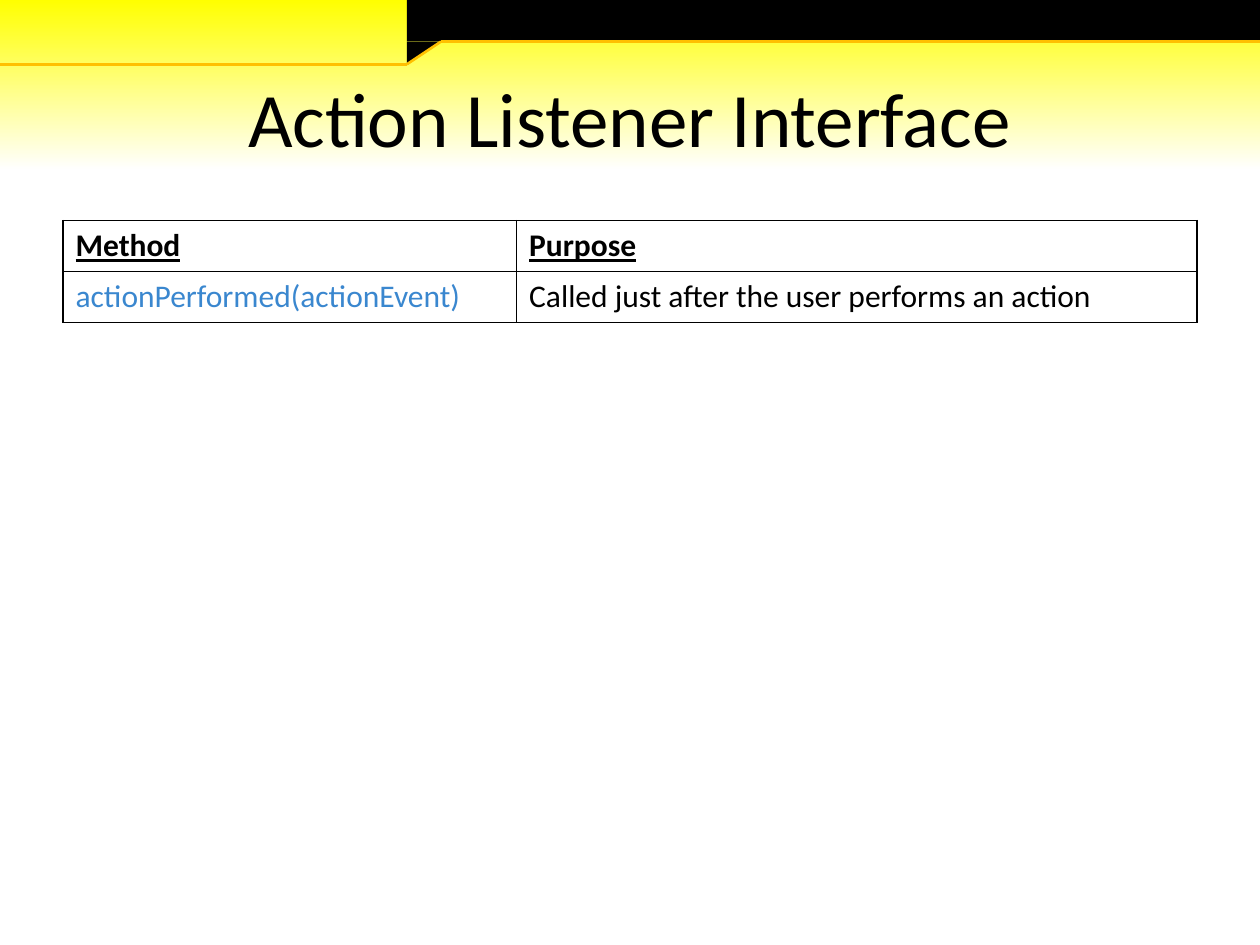
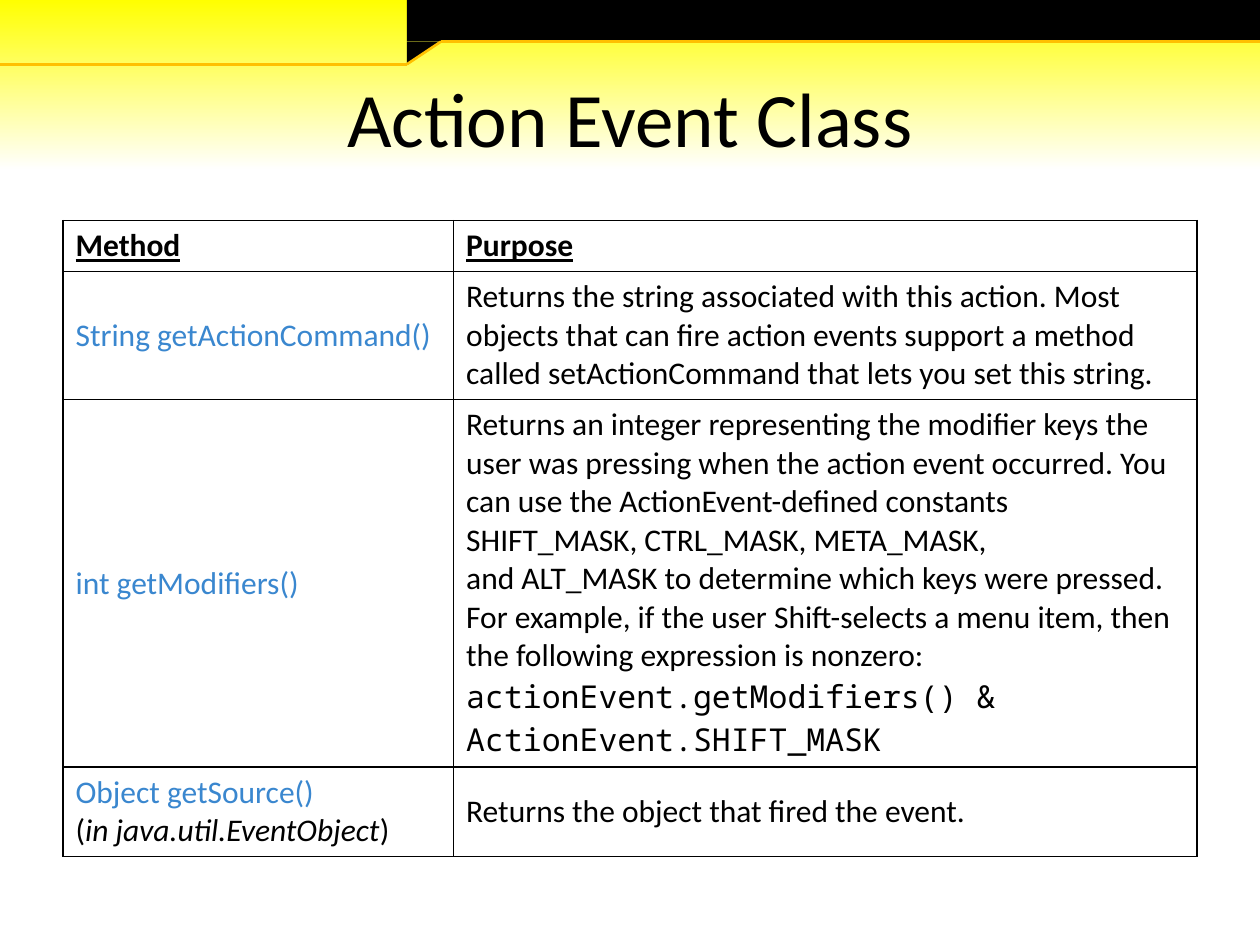
from lxml import etree
from pptx import Presentation
from pptx.dml.color import RGBColor
from pptx.enum.shapes import MSO_CONNECTOR, MSO_SHAPE
from pptx.enum.text import MSO_ANCHOR, PP_ALIGN
from pptx.oxml import parse_xml
from pptx.oxml.ns import nsdecls, qn
from pptx.util import Inches, Pt

BLACK = RGBColor(0x00, 0x00, 0x00)
WHITE = RGBColor(0xFF, 0xFF, 0xFF)
YELLOW = RGBColor(0xFF, 0xFF, 0x00)
AMBER = RGBColor(0xFF, 0xC0, 0x00)
BLUE = RGBColor(0x3A, 0x87, 0xCF)
FONT, CODE_FONT = "Calibri", "Noto Sans Mono"

# Run styles: every cell is a list of (text, style) runs
HEADING = {"bold": True, "underline": True}
METHOD = {"color": BLUE}
PLAIN = {}
ITALIC = {"italic": True}
CODE = {"name": CODE_FONT}

# Content: title, width of the method column, rows of (least height, method, purpose)
HEADER = (0.4, [("Method", HEADING)], [("Purpose", HEADING)])
SLIDES = [
    ("Action Listener Interface", 3.6, [
        HEADER,
        (0.4, [("actionPerformed(actionEvent)", METHOD)],
         [("Called just after the user performs an action", PLAIN)]),
    ]),
    ("Action Event Class", 3.1, [
        HEADER,
        (1.0, [("String getActionCommand()", METHOD)],
         [("Returns the string associated with this action. Most objects that "
           "can fire action events support a method called\u00a0setActionCommand"
           "\u00a0that lets you set this string.", PLAIN)]),
        (2.9, [("int getModifiers()", METHOD)],
         [("Returns an integer representing the modifier keys the user was "
           "pressing when the action event occurred. You can use the\u00a0"
           "ActionEvent-defined constants SHIFT_MASK,\u00a0CTRL_MASK,\u00a0"
           "META_MASK, and\u00a0ALT_MASK\u00a0to determine which keys were "
           "pressed. For example, if the user Shift-selects a menu item, then "
           "the following expression is nonzero: ", PLAIN),
          ("actionEvent.getModifiers() & ActionEvent.SHIFT_MASK ", CODE)]),
        (0.6, [("Object getSource()\n", METHOD), ("(", PLAIN),
               ("in java.util.EventObject", ITALIC), (")", PLAIN)],
         [("Returns the object that fired the event.", PLAIN)]),
    ]),
]

# Layout in inches
WIDTH, HEIGHT = 10, 7.5
MARGIN = 0.05 * WIDTH
CONTENT_WIDTH = WIDTH - 2 * MARGIN
TITLE_TOP, TITLE_HEIGHT, TABLE_TOP = 0.3, 1.25, 1.75
TAB_RIGHT, BAND_LEFT = 3.23, 3.5       # ends of the slanted edge
BAND_BOTTOM, TAB_BOTTOM = 0.33, 0.51


def add_black_shape(shapes, kind, left, top, right, bottom):
    shape = shapes.add_shape(kind, Inches(left), Inches(top),
                             Inches(right - left), Inches(bottom - top))
    shape.shadow.inherit = False
    shape.fill.solid()
    shape.fill.fore_color.rgb = BLACK
    shape.line.fill.background()
    return shape


def add_edge(shapes, start, end):
    line = shapes.add_connector(MSO_CONNECTOR.STRAIGHT,
                                *(Inches(value) for value in start + end))
    line.line.color.rgb = AMBER
    line.line.width = Pt(1.5)
    etree.SubElement(line.element.spPr, qn("a:effectLst"))
    return line


def style_master(master, slide):
    """Give the master its gradient and the band, drawn on a slide and moved."""
    fill = master.background.fill
    fill.gradient()
    fill.gradient_angle = 270
    for stop, (position, color) in zip(fill.gradient_stops, [(0, YELLOW), (0.18, WHITE)]):
        stop.position = position
        stop.color.rgb = color

    shapes = slide.shapes
    band = add_black_shape(shapes, MSO_SHAPE.RECTANGLE, TAB_RIGHT, 0, WIDTH, BAND_BOTTOM)
    slant = add_black_shape(shapes, MSO_SHAPE.ISOSCELES_TRIANGLE,
                            TAB_RIGHT, BAND_BOTTOM, BAND_LEFT, TAB_BOTTOM)
    slant.adjustments[0] = 1
    slant.rotation = 180
    corners = [(0, TAB_BOTTOM), (TAB_RIGHT, TAB_BOTTOM),
               (BAND_LEFT, BAND_BOTTOM), (WIDTH, BAND_BOTTOM)]
    edges = [add_edge(shapes, *ends) for ends in zip(corners, corners[1:])]
    for number, shape in enumerate([band, slant, *edges]):
        shape.element.xpath(".//p:cNvPr")[0].set("id", str(100 + number))
        master.shapes.element.insert(2 + number, shape.element)


def write_title(slide, text):
    title = slide.shapes.title
    title.left, title.top = Inches(MARGIN), Inches(TITLE_TOP)
    title.width, title.height = Inches(CONTENT_WIDTH), Inches(TITLE_HEIGHT)
    title.text_frame.text = text
    title.text_frame.vertical_anchor = MSO_ANCHOR.MIDDLE
    paragraph = title.text_frame.paragraphs[0]
    paragraph.alignment = PP_ALIGN.CENTER
    paragraph.font.name, paragraph.font.size = FONT, Pt(44)
    paragraph.font.color.rgb = BLACK


def fill_cell(cell, runs):
    cell.vertical_anchor = MSO_ANCHOR.MIDDLE
    cell.fill.background()
    paragraph = cell.text_frame.paragraphs[0]
    paragraph.font.size = Pt(18)
    for text, style in runs:
        run = paragraph.add_run()
        run.text = text.rstrip("\n")
        run.font.name = style.get("name", FONT)
        run.font.color.rgb = style.get("color", BLACK)
        run.font.bold = style.get("bold", False)
        run.font.underline = style.get("underline", False)
        run.font.italic = style.get("italic", False)
        if text.endswith("\n"):
            paragraph.add_line_break()
    # Borders come before the fill
    properties = cell._tc.get_or_add_tcPr()
    for index, side in enumerate(("lnL", "lnR", "lnT", "lnB")):
        properties.insert(index, parse_xml(
            f'<a:{side} {nsdecls("a")} w="{Pt(1)}"><a:solidFill>'
            f'<a:srgbClr val="{BLACK}"/></a:solidFill></a:{side}>'))


def add_method_table(slide, method_width, rows):
    total_height = sum(height for height, *_ in rows)
    table = slide.shapes.add_table(
        len(rows), 2, Inches(MARGIN), Inches(TABLE_TOP),
        Inches(CONTENT_WIDTH), Inches(total_height)).table
    table.first_row = table.horz_banding = False
    table.columns[0].width = Inches(method_width)
    table.columns[1].width = Inches(CONTENT_WIDTH - method_width)
    for row, (height, *cells) in zip(table.rows, rows):
        row.height = Inches(height)
        for cell, runs in zip(row.cells, cells):
            fill_cell(cell, runs)


presentation = Presentation()
presentation.slide_width, presentation.slide_height = Inches(WIDTH), Inches(HEIGHT)
title_only = presentation.slide_layouts.get_by_name("Title Only")

for number, (title, method_width, rows) in enumerate(SLIDES):
    slide = presentation.slides.add_slide(title_only)
    if number == 0:
        style_master(presentation.slide_master, slide)
    write_title(slide, title)
    add_method_table(slide, method_width, rows)

presentation.save("out.pptx")
